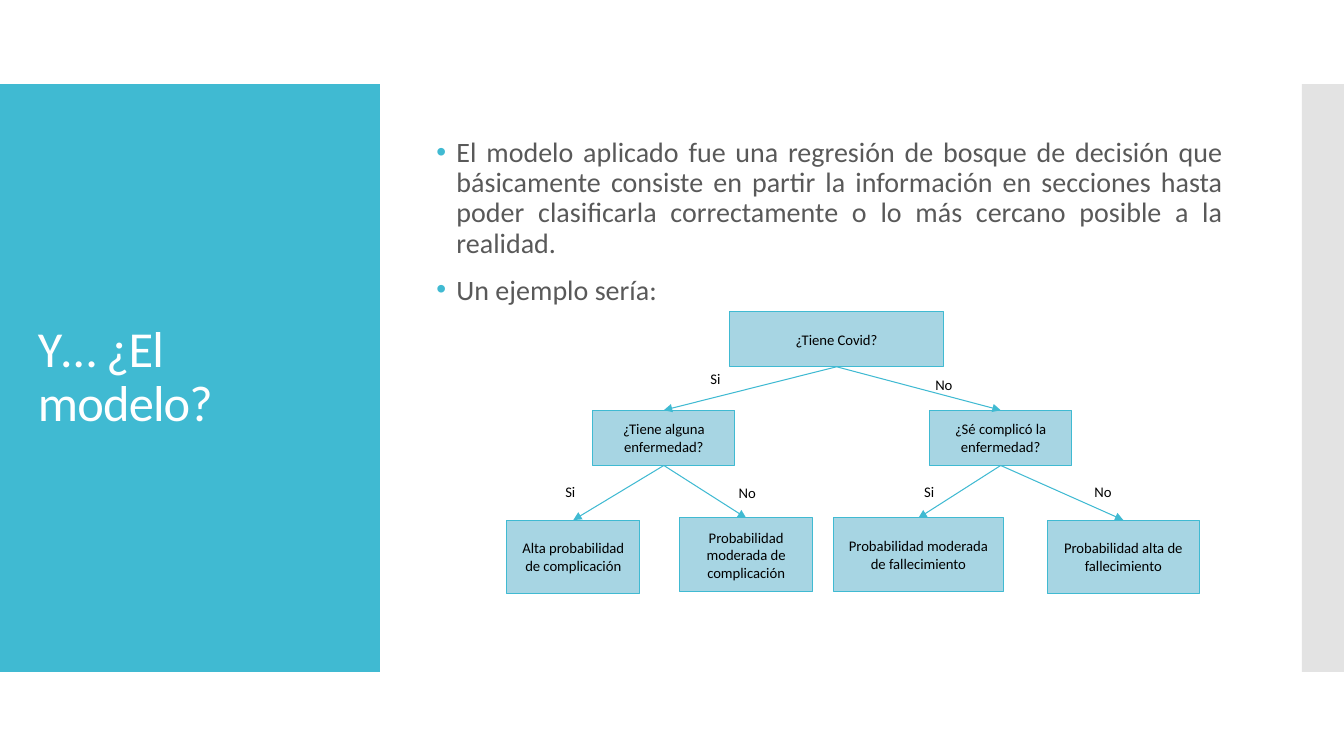
import pptx
import pptx.dml.color
import pptx.enum.shapes
import pptx.enum.text
import pptx.oxml
import pptx.oxml.ns
import pptx.util

Pt = pptx.util.Pt
ALIGN = pptx.enum.text.PP_ALIGN
ANCHOR = pptx.enum.text.MSO_ANCHOR
RECTANGLE = pptx.enum.shapes.MSO_SHAPE.RECTANGLE
NAMESPACE = pptx.oxml.ns.nsdecls("a")

COLORS = {
    "teal": "40BAD2", "node": "A7D5E3", "gray": "C8C8C8",
    "body": "595959", "white": "FFFFFF", "black": "000000",
}

BODY = [
    "El modelo aplicado fue una regresión de bosque de decisión que básicamente "
    "consiste en partir la información en secciones hasta poder clasificarla "
    "correctamente o lo más cercano posible a la realidad.",
    "Un ejemplo sería:",
]

# Name: text, then left, top, width and height within the tree
NODES = {
    "covid": ("¿Tiene Covid?", 159.3, 0.5, 152.6, 39.5),
    "illness": ("¿Tiene alguna enfermedad?", 61.4, 71, 101.6, 39.5),
    "complicated": ("¿Sé complicó la enfermedad?", 302, 71, 101.6, 39.5),
    "high complication": ("Alta probabilidad de complicación", 0, 149.5, 95, 52.6),
    "moderate complication": ("Probabilidad moderada de complicación", 123.5, 148, 95, 52.6),
    "moderate death": ("Probabilidad moderada de fallecimiento", 233.5, 148, 121, 52.6),
    "high death": ("Probabilidad alta de fallecimiento", 386, 149.5, 108.8, 52.6),
}

# Question, outcome, answer, then left, top and width of the answer
BRANCHES = [
    ("covid", "illness", "Si", 138.4, 38.6, 24.5),
    ("covid", "complicated", "No", 299, 43, 33.8),
    ("illness", "high complication", "Si", 34.7, 119.3, 31.7),
    ("illness", "moderate complication", "No", 158.6, 120, 38.2),
    ("complicated", "moderate death", "Si", 291, 119.3, 27.4),
    ("complicated", "high death", "No", 412.7, 119.3, 31),
]


def rgb(name):
    return pptx.dml.color.RGBColor.from_string(COLORS[name])


def write(paragraph, text, size, color):
    run = paragraph.add_run()
    run.text = text
    run.font.name = "Calibri"
    run.font.size = Pt(size)
    run.font.color.rgb = rgb(color)
    return run


def add_block(slide, left, top, width, height, fill):
    block = slide.shapes.add_shape(RECTANGLE, Pt(left), Pt(top), Pt(width), Pt(height))
    block.shadow.inherit = False
    block.fill.solid()
    block.fill.fore_color.rgb = rgb(fill)
    block.line.fill.background()
    return block


def add_text_frame(slide, left, top, width, height, anchor):
    box = slide.shapes.add_textbox(Pt(left), Pt(top), Pt(width), Pt(height))
    frame = box.text_frame
    frame.word_wrap = True
    frame.vertical_anchor = anchor
    return frame


def add_title_panel(slide, left, top, width, height):
    add_block(slide, left, top, width, height, "teal")
    frame = add_text_frame(slide, left + 20, top + 28.8, width - 39.6, height - 57.6,
                           ANCHOR.MIDDLE)
    title = frame.paragraphs[0]
    title.line_spacing = 0.9
    run = write(title, "Y… ¿El modelo?", 36, "white")
    run.font._element.set("spc", "-60")


def add_side_strip(slide, left, top, width, height):
    strip = add_block(slide, left, top, width, height, "gray")
    color = strip.fill._xPr.find(".//" + pptx.oxml.ns.qn("a:srgbClr"))
    color.append(pptx.oxml.parse_xml(f'<a:alpha {NAMESPACE} val="50000"/>'))


def add_bullets(slide, left, top, width, height):
    frame = add_text_frame(slide, left, top, width, height, ANCHOR.TOP)
    frame.margin_top = Pt(31)
    for index, text in enumerate(BODY):
        paragraph = frame.add_paragraph() if index else frame.paragraphs[0]
        paragraph.alignment = ALIGN.JUSTIFY
        paragraph.line_spacing = 0.9
        paragraph.space_before = Pt(12 if index else 0)
        properties = paragraph._p.get_or_add_pPr()
        properties.set("marL", str(Pt(14.4)))
        properties.set("indent", str(-Pt(14.4)))
        for bullet in (
            f'<a:buClr {NAMESPACE}><a:srgbClr val="{COLORS["teal"]}"/></a:buClr>',
            f'<a:buFont {NAMESPACE} typeface="Arial"/>',
            f'<a:buChar {NAMESPACE} char="•"/>',
        ):
            properties.append(pptx.oxml.parse_xml(bullet))
        write(paragraph, text, 20, "body")


def add_node(slide, text, left, top, width, height):
    node = add_block(slide, left, top, width, height, "node")
    node.line.color.rgb = rgb("teal")
    node.line.width = Pt(0.75)
    node.text_frame.word_wrap = True
    node.text_frame.vertical_anchor = ANCHOR.MIDDLE
    paragraph = node.text_frame.paragraphs[0]
    paragraph.alignment = ALIGN.CENTER
    write(paragraph, text, 10.5, "black")
    return node


def add_arrow(slide, question, outcome):
    """Join the bottom of the question to the top of the outcome."""
    arrow = slide.shapes.add_connector(
        pptx.enum.shapes.MSO_CONNECTOR.STRAIGHT, 0, 0, 0, 0)
    arrow.begin_connect(question, 2)
    arrow.end_connect(outcome, 0)
    arrow.line.color.rgb = rgb("teal")
    arrow.line.width = Pt(0.75)
    arrow.line._get_or_add_ln().append(
        pptx.oxml.parse_xml(f'<a:tailEnd {NAMESPACE} type="triangle"/>'))
    arrow._element.spPr.append(pptx.oxml.parse_xml(f"<a:effectLst {NAMESPACE}/>"))


def add_decision_tree(slide, left, top):
    nodes = {
        name: add_node(slide, text, left + x, top + y, width, height)
        for name, (text, x, y, width, height) in NODES.items()
    }
    for question, outcome, answer, x, y, width in BRANCHES:
        add_arrow(slide, nodes[question], nodes[outcome])
        frame = add_text_frame(slide, left + x, top + y, width, 20, ANCHOR.TOP)
        write(frame.paragraphs[0], answer, 10.5, "black")


def main():
    deck = pptx.Presentation()
    deck.slide_width, deck.slide_height = Pt(960), Pt(540)
    slide = deck.slides.add_slide(deck.slide_layouts[6])
    add_title_panel(slide, 0, 60, 271.4, 420)
    add_side_strip(slide, 930, 60, 30, 420)
    add_bullets(slide, 304.6, 67.7, 576, 403)
    add_decision_tree(slide, 362, 222)
    deck.save("out.pptx")


if __name__ == "__main__":
    main()
